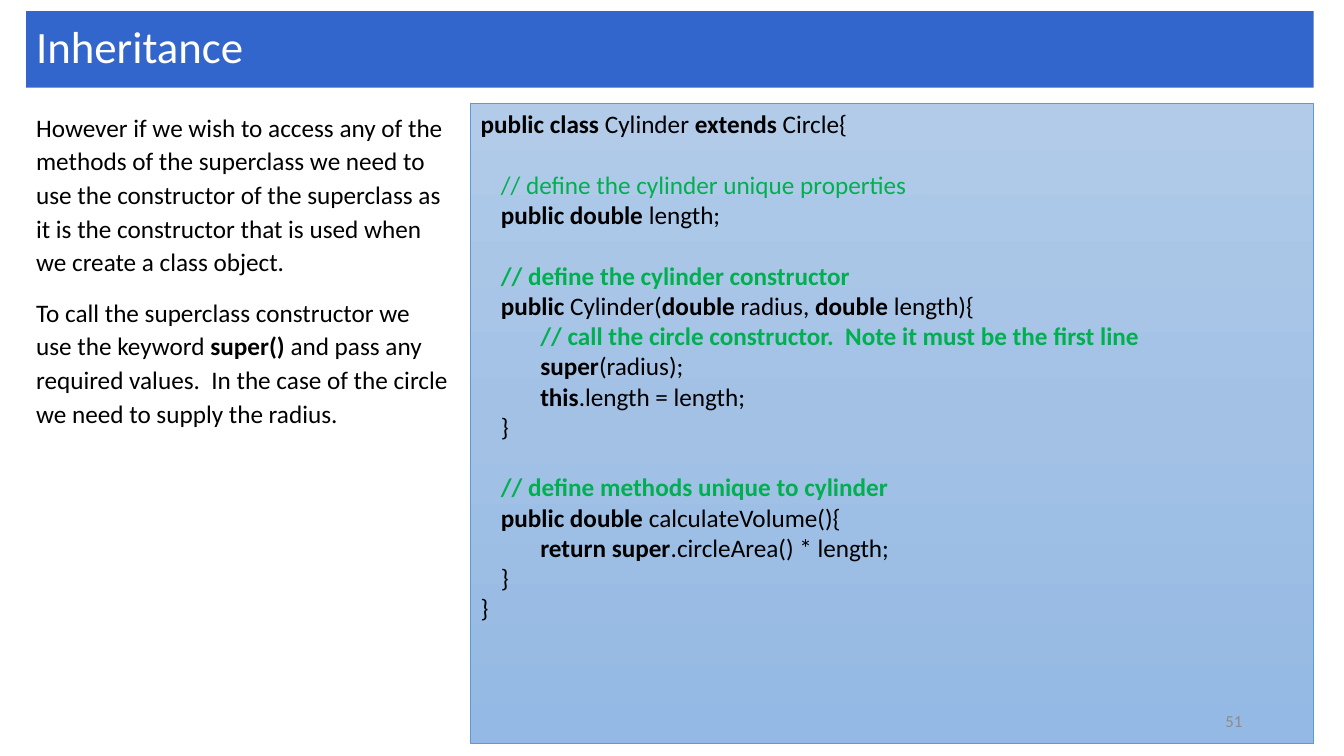
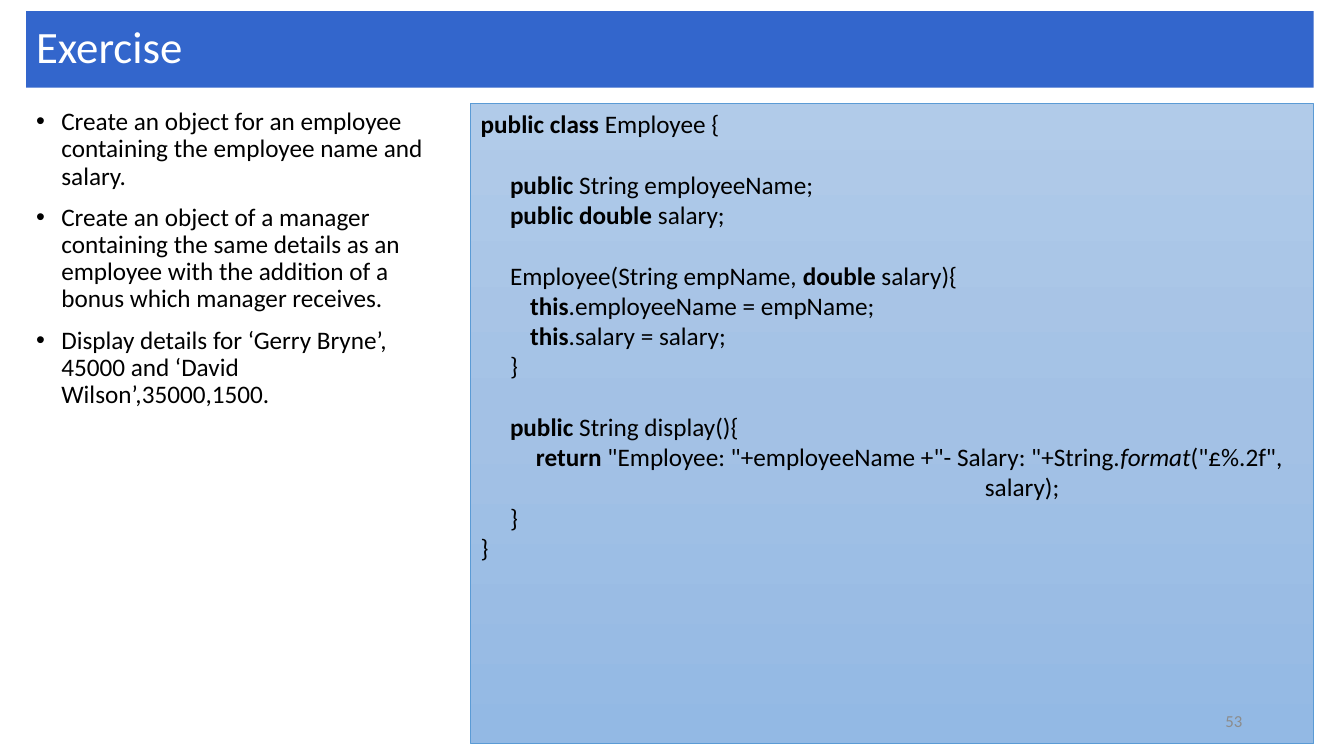
import copy

import pptx
import pptx.dml.color
import pptx.enum.shapes
import pptx.enum.text
import pptx.oxml.ns
import pptx.util
from lxml import etree

PX = 9144  # EMU in one px, 100 px to the inch
COLORS = {
    "band": "3366CC", "title": "FFFFFF", "text": "000000", "comment": "00B050",
    "panel_top": "B1CBE9", "panel_middle": "A3C1E5", "panel_bottom": "93B9E4",
    "panel_line": "5B9BD5", "number": "8C8C8C",
}
FONT = "Calibri"
LEFT, RIGHT, CONTENT_TOP = 26, 1303, 103
PANEL_LEFT = 467
CODE_SIZE, CODE_LINE = 18, 21.6
INDENT = 4  # spaces for one level of code

CYLINDER_CODE = """
`public class` Cylinder `extends` Circle{

    // define the cylinder unique properties
    `public double` length;

    `// define the cylinder constructor`
    `public` Cylinder(`double` radius, `double` length){
        `// call the circle constructor.  Note it must be the first line`
        `super`(radius);
        `this`.length = length;
    }

    `// define methods unique to cylinder`
    `public double `calculateVolume(){
        `return super`.circleArea() * length;
    }
}
"""

EMPLOYEE_CODE = """
`public class` Employee {

    `public` String employeeName;
    `public double` salary;

    Employee(String empName, `double` salary){
        `this`.employeeName = empName;
        `this`.salary = salary;
    }

    `public` String display(){
         `return` "Employee: "+employeeName +"- Salary: "+String.~format~("£%.2f",
            salary);
    }
}
"""


def rgb(name):
    return pptx.dml.color.RGBColor.from_string(COLORS[name])


class Lesson:
    """Holds the deck, its style and the current page."""

    def __init__(self):
        self.deck = pptx.Presentation()
        self.deck.slide_width = 1333 * PX
        self.deck.slide_height = 750 * PX
        self.page = None

    def add_page(self, title):
        self.page = self.deck.slides.add_slide(self.deck.slide_layouts[6])
        band = self.rectangle(LEFT, 11, RIGHT - LEFT, 76)
        band.fill.solid()
        band.fill.fore_color.rgb = rgb("band")
        band.line.fill.background()
        band.text_frame.vertical_anchor = pptx.enum.text.MSO_ANCHOR.MIDDLE
        para = band.text_frame.paragraphs[0]
        para.line_spacing = 0.9
        self.set_text(para, title, 32, "title")

    # Basic elements
    def rectangle(self, left, top, width, height):
        box = self.page.shapes.add_shape(
            pptx.enum.shapes.MSO_SHAPE.RECTANGLE,
            left * PX, top * PX, width * PX, height * PX)
        box.shadow.inherit = False
        box.text_frame.word_wrap = True
        return box

    def text_box(self, left, top, width, height):
        box = self.page.shapes.add_textbox(left * PX, top * PX, width * PX, height * PX)
        box.text_frame.word_wrap = True
        return box.text_frame

    def set_text(self, para, text, size, color, align=pptx.enum.text.PP_ALIGN.LEFT):
        """Fill a paragraph; ` switches bold on and off, ~ switches italic."""
        para.alignment = align
        para.font.name = FONT
        para.font.size = pptx.util.Pt(size)
        para.font.color.rgb = rgb(color)
        for i, bold_part in enumerate(text.split("`")):
            for j, part in enumerate(bold_part.split("~")):
                if part:
                    span = para.add_run()
                    span.text = part
                    if i % 2:
                        span.font.bold = True
                    if j % 2:
                        span.font.italic = True

    def paragraphs(self, frame, count):
        return [frame.paragraphs[0]] + [frame.add_paragraph() for _ in range(count - 1)]

    def property_element(self, para, tag, **attributes):
        properties = para._p.get_or_add_pPr()
        return etree.SubElement(properties, pptx.oxml.ns.qn(tag), attributes)

    # Left column
    def body(self, texts, bullets=False):
        frame = self.text_box(LEFT, CONTENT_TOP, 431, 625)
        for i, para in enumerate(self.paragraphs(frame, len(texts))):
            if bullets:
                properties = para._p.get_or_add_pPr()
                properties.set("marL", str(25 * PX))
                properties.set("indent", str(-25 * PX))
                self.property_element(para, "a:buFont", typeface="Arial")
                self.property_element(para, "a:buChar", char="•")
                para.line_spacing = 0.9
                if i:
                    para.space_before = pptx.util.Pt(10)
            else:
                para.line_spacing = pptx.util.Pt(24)
                para.space_after = pptx.util.Pt(12)
            self.set_text(para, texts[i], 18, "text")

    # Code panel, with tab stops for the levels of indent
    def code(self, source, stops):
        panel = self.rectangle(PANEL_LEFT, CONTENT_TOP, RIGHT - PANEL_LEFT, 635)
        self.shade(panel)
        frame = panel.text_frame
        frame.vertical_anchor = pptx.enum.text.MSO_ANCHOR.TOP
        lines = source.strip().split("\n")
        gaps = [i > 0 and not lines[i - 1] for i in range(len(lines))]
        rows = [(line, gap) for line, gap in zip(lines, gaps) if line]
        for para, (line, gap) in zip(self.paragraphs(frame, len(rows)), rows):
            tabs = self.property_element(para, "a:tabLst")
            for stop in stops:
                etree.SubElement(tabs, pptx.oxml.ns.qn("a:tab"),
                                 {"pos": str(stop * PX), "algn": "l"})
            if gap:
                para.space_before = pptx.util.Pt(CODE_LINE)
            level, extra = divmod(len(line) - len(line.lstrip()), INDENT)
            text = "\t" * level + " " * extra + line.lstrip()
            is_comment = line.lstrip(" `").startswith("//")
            self.set_text(para, text, CODE_SIZE, "comment" if is_comment else "text")

    def shade(self, panel):
        panel.fill.gradient()
        panel.fill.gradient_angle = 270
        stop_list = panel._element.spPr.find(".//" + pptx.oxml.ns.qn("a:gsLst"))
        stop_list.insert(1, copy.deepcopy(stop_list[0]))
        names = ("panel_top", "panel_middle", "panel_bottom")
        for i, (stop, name) in enumerate(zip(panel.fill.gradient_stops, names)):
            stop.position = i / 2
            stop.color.rgb = rgb(name)
        panel.line.color.rgb = rgb("panel_line")
        panel.line.width = pptx.util.Pt(0.5)

    # Page number, in front of the panel
    def page_number(self, number):
        frame = self.text_box(942, 695, 300, 40)
        frame.vertical_anchor = pptx.enum.text.MSO_ANCHOR.MIDDLE
        self.set_text(frame.paragraphs[0], str(number), 12, "number",
                      pptx.enum.text.PP_ALIGN.RIGHT)


def main():
    lesson = Lesson()

    # Inheritance
    lesson.add_page("Inheritance")
    lesson.body([
        "However if we wish to access any of the methods of the superclass we need to "
        "use the constructor of the superclass as it is the constructor that is used "
        "when we create a class object.",
        "To call the superclass constructor we use the keyword `super() `and pass any "
        "required values.  In the case of the circle we need to supply the radius.",
    ])
    lesson.code(CYLINDER_CODE, stops=(20, 59))
    lesson.page_number(51)

    # Exercise
    lesson.add_page("Exercise")
    lesson.body([
        "Create an object for an employee containing the employee name and salary.",
        "Create an object of a manager containing the same details as an employee with "
        "the addition of a bonus which manager receives.",
        "Display details for ‘Gerry Bryne’, 45000 and ‘David Wilson’,35000,1500.",
    ], bullets=True)
    lesson.code(EMPLOYEE_CODE, stops=(29, 49, 500))
    lesson.page_number(53)

    lesson.deck.save("out.pptx")


if __name__ == "__main__":
    main()
